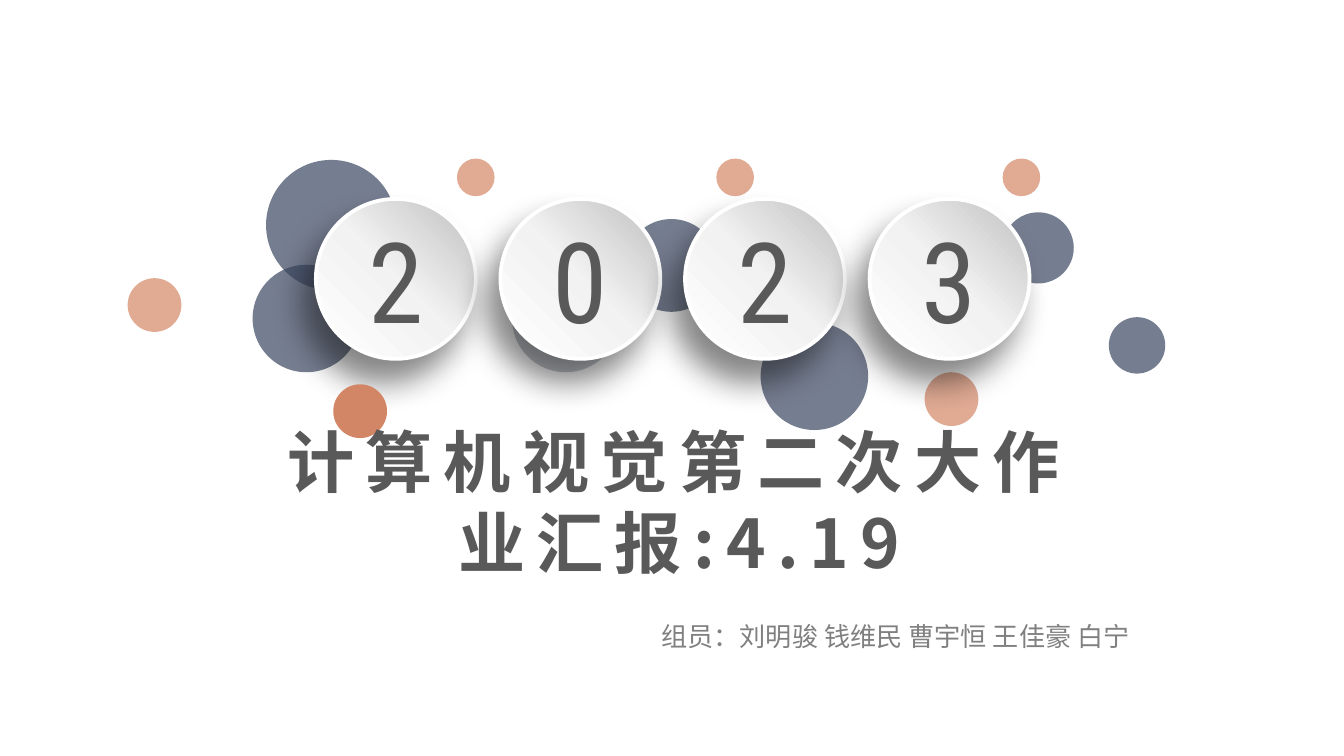
from lxml import etree
from pptx import Presentation
from pptx import util as u
from pptx.dml.color import RGBColor
from pptx.enum import shapes, text
from pptx.oxml import parse_xml
from pptx.oxml.ns import nsdecls, qn

NAVY = RGBColor(0x3B, 0x47, 0x61)
ORANGE = RGBColor(0xD3, 0x86, 0x66)
GREY = RGBColor(0xA9, 0xAE, 0xB9)
WHITE = RGBColor(0xFF, 0xFF, 0xFF)
DARK_TEXT = RGBColor(0x59, 0x59, 0x59)
LIGHT_TEXT = RGBColor(0x80, 0x80, 0x80)
SHADOW = RGBColor(0x0D, 0x0D, 0x0D)
DISC_STOPS = [
    (0, RGBColor(0xBF, 0xBF, 0xBF)),
    (50, RGBColor(0xF2, 0xF2, 0xF2)),
    (100, WHITE),
]

# left, top, diameter, colour, opacity in percent
BACK_BUBBLES = [
    (3.81, 1.97, 0.8, GREY, 70),
    (4.65, 1.63, 0.69, NAVY, 70),
    (5.66, 2.4, 0.8, NAVY, 70),
    (7.46, 1.58, 0.53, NAVY, 70),
    (6.88, 2.77, 0.4, ORANGE, 70),
    (5.66, 1.83, 0.28, GREY, 70),
    (7.46, 1.18, 0.28, ORANGE, 70),
    (1.88, 1.97, 0.8, NAVY, 70),
    (1.98, 1.19, 0.97, NAVY, 70),
]
FRONT_BUBBLES = [
    (2.48, 2.86, 0.4, ORANGE, 100),
    (3.4, 1.18, 0.28, ORANGE, 70),
    (0.95, 2.07, 0.4, ORANGE, 70),
    (5.33, 1.18, 0.28, ORANGE, 70),
    (8.25, 2.36, 0.42, NAVY, 70),
]
DISC_LEFT, DISC_RIGHT, DISC_TOP, DISC_SIZE = 2.35, 6.47, 1.48, 1.19
YEAR = "2023"


class CoverSlide:
    text_font = "Noto Sans CJK SC"
    digit_font = "Roboto Condensed"

    def __init__(self, slide):
        self.slide = slide

    def circle(self, left, top, size):
        shape = self.slide.shapes.add_shape(
            shapes.MSO_SHAPE.OVAL,
            u.Inches(left), u.Inches(top), u.Inches(size), u.Inches(size))
        shape.shadow.inherit = False
        return shape

    def bubble(self, left, top, size, color, opacity):
        shape = self.circle(left, top, size)
        shape.fill.solid()
        shape.fill.fore_color.rgb = color
        shape.line.fill.background()
        if opacity < 100:
            color_element = shape.element.spPr.find(".//" + qn("a:srgbClr"))
            alpha = etree.SubElement(color_element, qn("a:alpha"))
            alpha.set("val", str(opacity * 1000))

    def digit_disc(self, left, digit):
        shape = self.circle(left, DISC_TOP, DISC_SIZE)
        shape.line.color.rgb = WHITE
        shape.line.width = u.Pt(2)
        self.shade_disc(shape)
        frame = shape.text_frame
        frame.vertical_anchor = text.MSO_ANCHOR.MIDDLE
        frame.text = digit
        self.format_text(frame, self.digit_font, 60, DARK_TEXT)

    def shade_disc(self, shape):
        """Give the disc its three-stop gradient and its soft drop shadow."""
        stops = "".join(
            f'<a:gs pos="{position * 1000}"><a:srgbClr val="{color}"/></a:gs>'
            for position, color in DISC_STOPS)
        gradient = parse_xml(
            f'<a:gradFill {nsdecls("a")} rotWithShape="1"><a:gsLst>{stops}</a:gsLst>'
            f'<a:lin ang="{135 * 60000}" scaled="0"/></a:gradFill>')
        properties = shape.element.spPr
        properties.find(qn("a:prstGeom")).addnext(gradient)
        shadow = parse_xml(
            f'<a:outerShdw {nsdecls("a")} blurRad="{u.Pt(17)}" dist="{u.Pt(14)}" '
            f'dir="{120 * 60000}" algn="ctr" rotWithShape="0">'
            f'<a:srgbClr val="{SHADOW}"><a:alpha val="50000"/></a:srgbClr></a:outerShdw>')
        properties.find(qn("a:effectLst")).append(shadow)

    def placeholder(self, shape, box, margins, anchor, wording, size, color, bold=False):
        """Fill a template placeholder and bring it to the front."""
        shape.left, shape.top, shape.width, shape.height = map(u.Inches, box)
        frame = shape.text_frame
        frame.word_wrap = True
        frame.auto_size = text.MSO_AUTO_SIZE.NONE
        frame.vertical_anchor = anchor
        horizontal, vertical = map(u.Inches, margins)
        frame.margin_left = frame.margin_right = horizontal
        frame.margin_top = frame.margin_bottom = vertical
        frame.text = wording
        self.format_text(frame, self.text_font, size, color, bold)
        shape.element.getparent().append(shape.element)

    def format_text(self, frame, font_name, size, color, bold=False):
        paragraph = frame.paragraphs[0]
        paragraph.alignment = text.PP_ALIGN.CENTER
        paragraph.space_before = u.Pt(0)
        for run in paragraph.runs:
            run.font.name = font_name
            run.font.size = u.Pt(size)
            run.font.bold = bold
            run.font.color.rgb = color
            east_asian = etree.SubElement(run.font._element, qn("a:ea"))
            east_asian.set("typeface", font_name)


def main():
    presentation = Presentation()
    presentation.slide_width = u.Inches(10)
    presentation.slide_height = u.Inches(10) * 9 // 16
    slide = presentation.slides.add_slide(presentation.slide_layouts[0])
    cover = CoverSlide(slide)

    for bubble in BACK_BUBBLES:
        cover.bubble(*bubble)
    disc_step = (DISC_RIGHT - DISC_LEFT) / (len(YEAR) - 1)
    for index, digit in enumerate(YEAR):
        cover.digit_disc(DISC_LEFT + index * disc_step, digit)
    for bubble in FRONT_BUBBLES:
        cover.bubble(*bubble)

    title, members = slide.shapes.title, slide.placeholders[1]
    cover.placeholder(title, (1.98, 3.13, 6.15, 1.21), (0, 0), text.MSO_ANCHOR.TOP,
                      "计算机视觉第二次大作业汇报:4.19", 36, DARK_TEXT, bold=True)
    heading = title.text_frame.paragraphs[0]
    heading.line_spacing = 1.0
    heading.runs[0].font._element.set("spc", "600")
    cover.placeholder(members, (3.35, 4.47, 6.63, 0.52), (0.07, 0.04),
                      text.MSO_ANCHOR.MIDDLE,
                      "组员：刘明骏 钱维民 曹宇恒 王佳豪 白宁", 14, LIGHT_TEXT)

    presentation.save("out.pptx")


if __name__ == "__main__":
    main()
